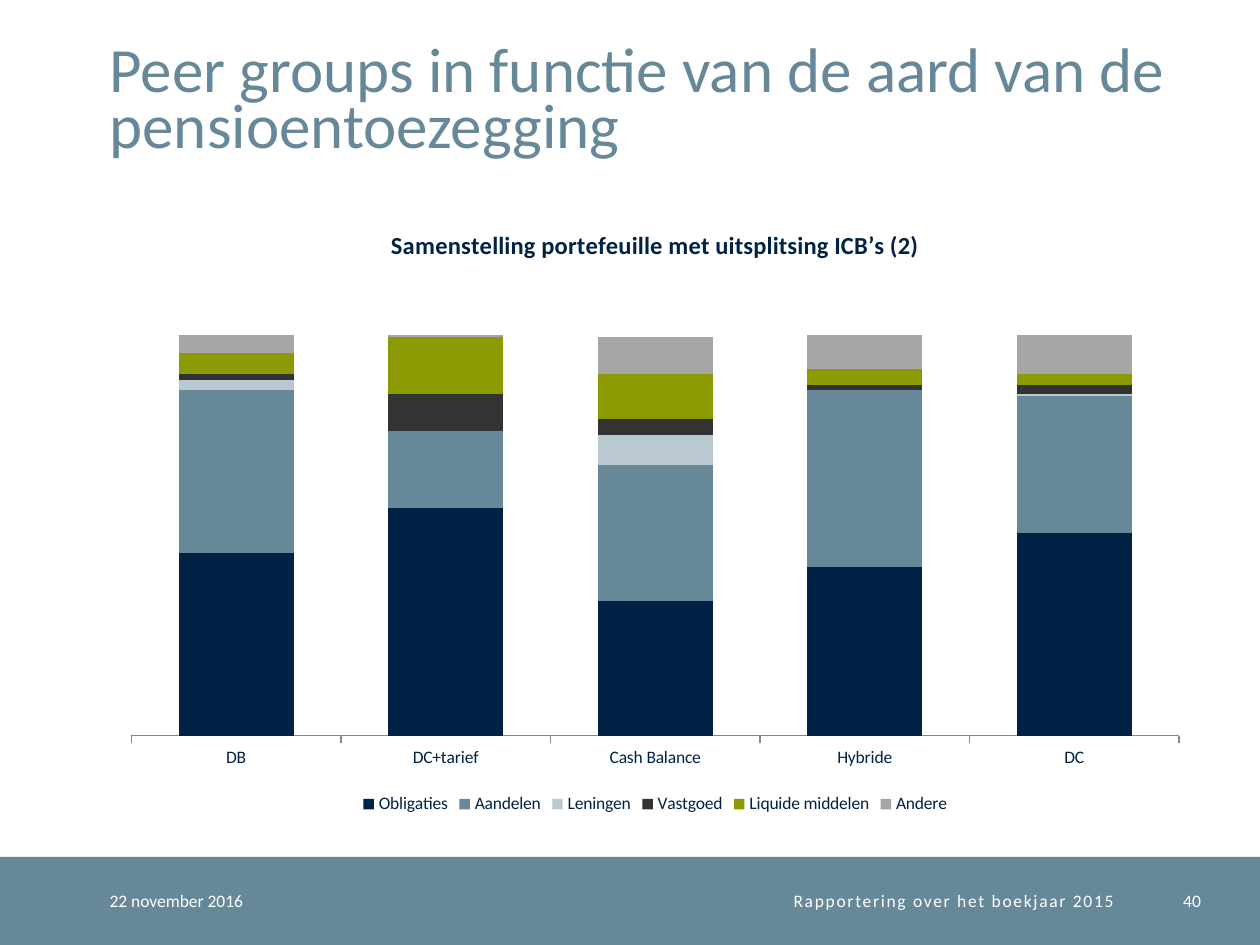
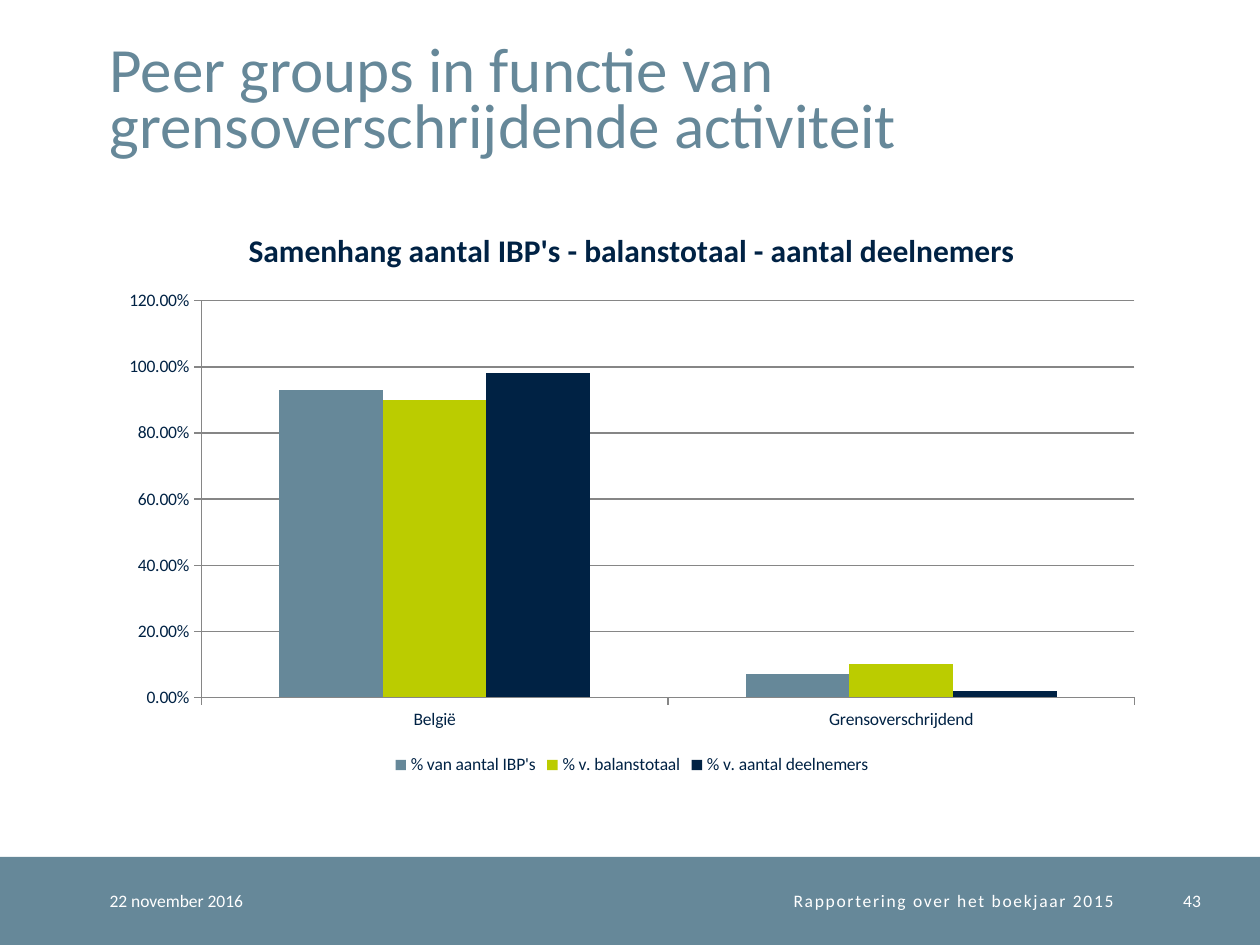
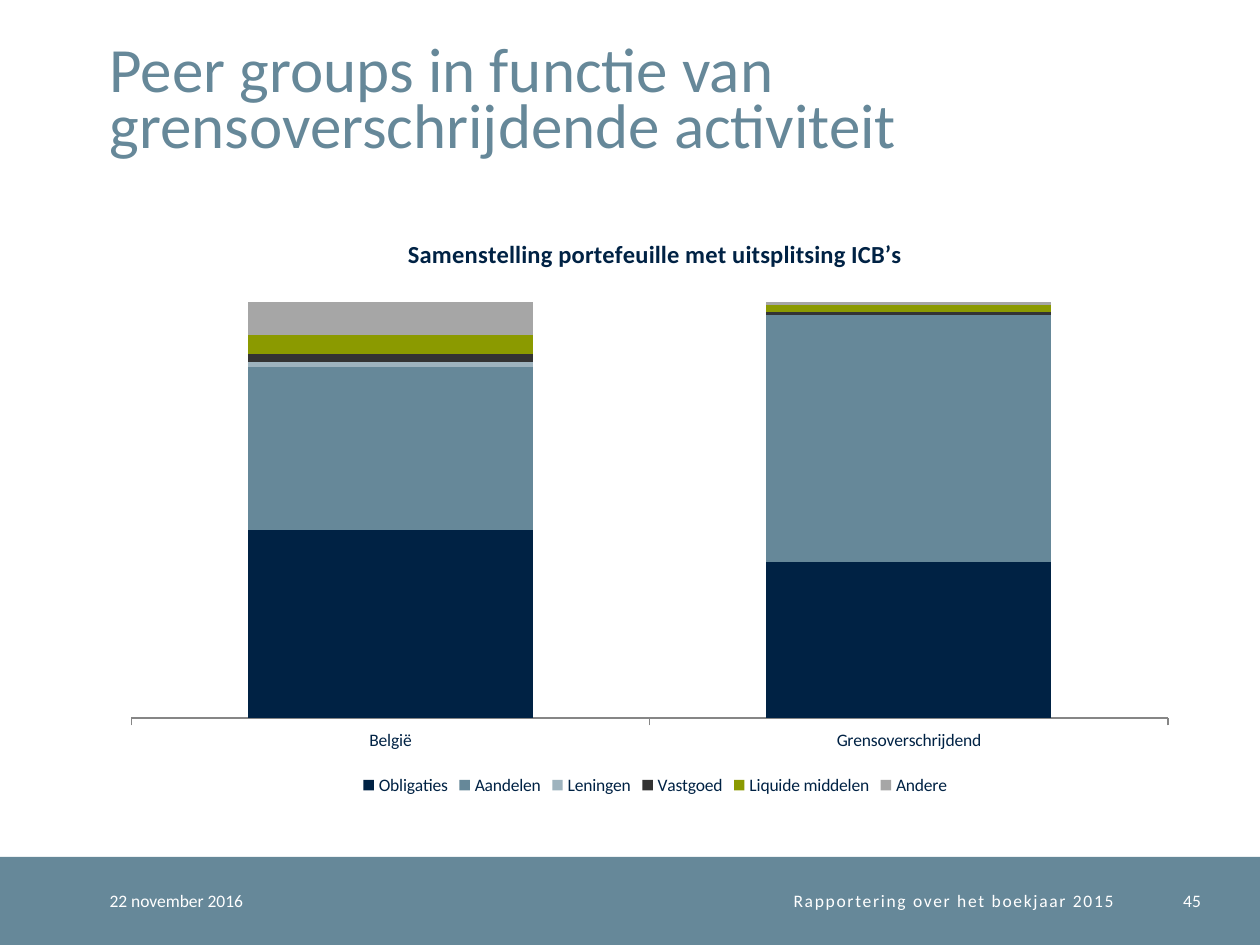
from dataclasses import dataclass

from pptx import Presentation
from pptx.chart.data import CategoryChartData
from pptx.dml.color import RGBColor
from pptx.enum.chart import XL_CHART_TYPE as ChartType
from pptx.enum.chart import XL_LEGEND_POSITION as LegendPos
from pptx.enum.chart import XL_TICK_MARK as Tick
from pptx.enum.shapes import MSO_SHAPE as Shape
from pptx.enum.text import MSO_ANCHOR as Anchor
from pptx.enum.text import PP_ALIGN as Align
from pptx.oxml import parse_xml
from pptx.oxml.ns import nsdecls
from pptx.util import Pt


@dataclass(frozen=True)
class Theme:
    font: str = "Calibri"
    navy: str = "002244"
    steel: str = "668899"
    mist: str = "BAC9D0"
    haze: str = "9EB3BE"
    coal: str = "333333"
    olive: str = "8B9A00"
    lime: str = "BBCC00"
    grey: str = "A6A6A6"
    axis: str = "868686"
    white: str = "FFFFFF"
    title_size: int = 36
    title_leading: int = 32
    small_size: int = 10


T = Theme()
WIDTH, HEIGHT = 720, 540
LEFT = 62.64
BAND_TOP, BAND_HEIGHT = 489.6, 50.4
DATE = "22 november 2016"
REPORT = "Rapportering over het boekjaar 2015"


def rgb(color):
    return RGBColor.from_string(color)


class Deck:
    """Holds the presentation style and the current slide."""

    def __init__(self):
        self.prs = Presentation()
        self.prs.slide_width, self.prs.slide_height = Pt(WIDTH), Pt(HEIGHT)
        self.s = None

    def slide(self, title, number):
        self.s = self.prs.slides.add_slide(self.prs.slide_layouts[6])
        self.band()
        self.footer(DATE, LEFT, 127.44)
        self.title(title)
        self.footer(REPORT, 190.08, 446.4, Align.RIGHT, spacing=1)
        self.footer(str(number), 650.88, 35.28, Align.RIGHT)

    def band(self):
        sp = self.s.shapes.add_shape(
            Shape.RECTANGLE, 0, Pt(BAND_TOP), Pt(WIDTH), Pt(BAND_HEIGHT))
        sp.shadow.inherit = False
        sp.fill.solid()
        sp.fill.fore_color.rgb = rgb(T.steel)
        sp.line.fill.background()

    def style(self, font, size, color, bold=False):
        font.name, font.size, font.bold = T.font, Pt(size), bold
        font.color.rgb = rgb(color)

    def text(self, text, box, size, color, anchor, align=Align.LEFT):
        tf = self.s.shapes.add_textbox(*map(Pt, box)).text_frame
        tf.word_wrap = True
        tf.vertical_anchor = anchor
        tf.margin_left = tf.margin_top = tf.margin_right = tf.margin_bottom = 0
        tf.text = text
        p = tf.paragraphs[0]
        p.alignment = align
        self.style(p.runs[0].font, size, color)
        return p

    def title(self, text):
        p = self.text(text, (LEFT, 14.4, 621.36, 77.76),
                      T.title_size, T.steel, Anchor.BOTTOM)
        p.line_spacing = Pt(T.title_leading)

    def footer(self, text, left, width, align=Align.LEFT, spacing=0):
        p = self.text(text, (left, BAND_TOP, width, BAND_HEIGHT),
                      T.small_size, T.white, Anchor.MIDDLE, align)
        if spacing:
            p.runs[0].font._element.set("spc", str(spacing * 100))

    def chart(self, kind, box, title, title_size, cats, series, gap):
        """Column chart; series holds (name, color, values) rows."""
        data = CategoryChartData()
        data.categories = cats
        for name, _, values in series:
            data.add_series(name, values)
        chart = self.s.shapes.add_chart(kind, *map(Pt, box), data).chart
        self.style(chart.font, T.small_size, T.navy)

        # Title and legend
        tf = chart.chart_title.text_frame
        tf.text = title
        self.style(tf.paragraphs[0].runs[0].font, title_size, T.navy, bold=True)
        chart.has_legend = True
        chart.legend.position = LegendPos.BOTTOM
        chart.legend.include_in_layout = False

        # Columns
        stacked = kind == ChartType.COLUMN_STACKED
        plot = chart.plots[0]
        plot.vary_by_categories = False
        plot.gap_width, plot.overlap = gap, 100 if stacked else 0
        for ser, (_, color, _) in zip(plot.series, series):
            ser.format.fill.solid()
            ser.format.fill.fore_color.rgb = rgb(color)
            ser.invert_if_negative = False

        # Axes
        val = chart.value_axis
        val.visible = val.has_major_gridlines = not stacked
        val.tick_labels.number_format = "0.00%"
        val.tick_labels.number_format_is_linked = False
        lines = [chart.category_axis.format.line]
        if not stacked:
            lines += [val.format.line, val.major_gridlines.format.line]
        for line in lines:
            line.color.rgb = rgb(T.axis)
            line.width = Pt(0.75)
        for axis in (chart.category_axis, val):
            axis.major_tick_mark, axis.minor_tick_mark = Tick.OUTSIDE, Tick.NONE
        return chart

    def portfolio(self, box, title, cats, values, loan_color):
        names = ("Obligaties", "Aandelen", "Leningen", "Vastgoed",
                 "Liquide middelen", "Andere")
        colors = (T.navy, T.steel, loan_color, T.coal, T.olive, T.grey)
        return self.chart(ChartType.COLUMN_STACKED, box, title, 14, cats,
                          list(zip(names, colors, values)), gap=82)

    def place_plot(self, chart, x, y, w, h):
        """Fix the inner plot area as fractions of the chart."""
        area = chart.element.xpath("c:chart/c:plotArea")[0]
        for old in area.xpath("c:layout"):
            area.remove(old)
        sizes = "".join(f'<c:{tag} val="{value}"/>'
                        for tag, value in zip("xywh", (x, y, w, h)))
        area.insert(0, parse_xml(
            f'<c:layout {nsdecls("c")}><c:manualLayout>'
            '<c:layoutTarget val="inner"/>'
            '<c:xMode val="edge"/><c:yMode val="edge"/>'
            f'{sizes}</c:manualLayout></c:layout>'))


def main():
    deck = Deck()
    regions = ("België", "Grensoverschrijdend")
    cross_border = "Peer groups in functie van grensoverschrijdende activiteit"
    portfolio = "Samenstelling portefeuille met uitsplitsing ICB’s"

    # Portfolio by type of pension promise
    deck.slide("Peer groups in functie van de aard van de pensioentoezegging", 40)
    deck.portfolio(
        (LEFT, 116.64, 623.52, 351.36), f"{portfolio} (2)",
        ("DB", "DC+tarief", "Cash Balance", "Hybride", "DC"),
        ((80, 100, 59, 74, 89), (72, 34, 60, 78, 60), (4, 0, 13, 0, 1),
         (3, 16, 7, 2, 4), (9, 25, 20, 7, 5), (8, 1, 16, 15, 17)),
        T.mist)

    # Institutions, balance sheet and members by region
    deck.slide(cross_border, 43)
    deck.chart(
        ChartType.COLUMN_CLUSTERED, (61.92, 116.64, 598.32, 329.04),
        "Samenhang aantal IBP's - balanstotaal - aantal deelnemers", 18, regions,
        (("% van aantal IBP's", T.steel, (0.93, 0.07)),
         ("% v. balanstotaal", T.lime, (0.9, 0.1)),
         ("% v. aantal deelnemers", T.navy, (0.98, 0.02))),
        gap=150)

    # Portfolio by region
    deck.slide(cross_border, 45)
    chart = deck.portfolio(
        (LEFT, 122.4, 623.52, 334.8), portfolio, regions,
        ((76, 63), (66, 100), (2, 0), (3, 1), (8, 3), (13, 1)), T.haze)
    deck.place_plot(chart, 0.02, 0.1, 0.95, 0.76)

    deck.prs.save("out.pptx")


if __name__ == "__main__":
    main()
